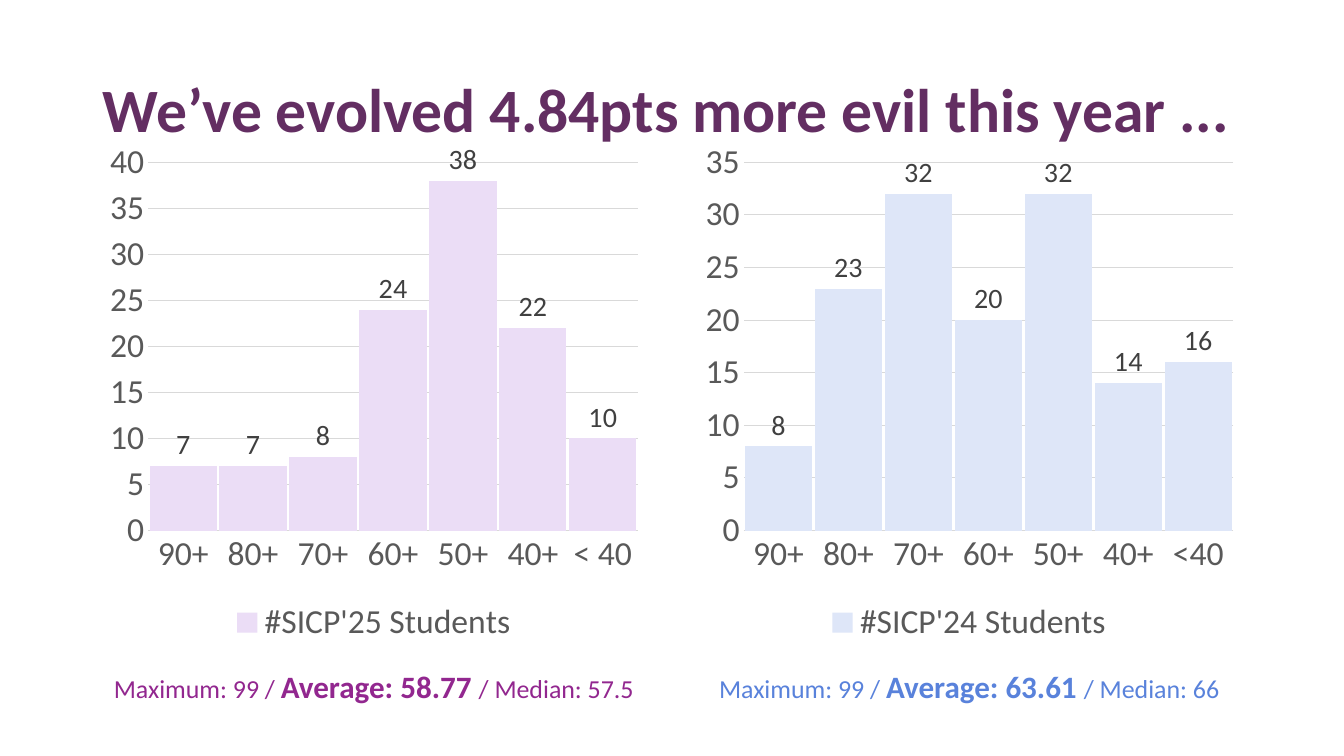
"""Build a slide comparing the score distributions of two student years."""
from pptx import Presentation
from pptx.chart.data import CategoryChartData
from pptx.dml.color import RGBColor
from pptx.enum.chart import XL_CHART_TYPE, XL_LABEL_POSITION, XL_LEGEND_POSITION, XL_TICK_MARK
from pptx.enum.text import MSO_ANCHOR, PP_ALIGN
from pptx.oxml import parse_xml
from pptx.oxml.ns import nsdecls
from pptx.util import Emu, Pt

COLUMNS = XL_CHART_TYPE.COLUMN_CLUSTERED
LABEL_ABOVE = XL_LABEL_POSITION.OUTSIDE_END
LEGEND_BELOW = XL_LEGEND_POSITION.BOTTOM
NO_TICK = XL_TICK_MARK.NONE
MIDDLE, TOP = MSO_ANCHOR.MIDDLE, MSO_ANCHOR.TOP
CENTER, LEFT = PP_ALIGN.CENTER, PP_ALIGN.LEFT

EMU_PER_PX = 9525
FONT = "Calibri"
TITLE_ONLY_LAYOUT = 5
CHART_HEIGHT, CAPTION_TOP, CAPTION_HEIGHT = 494, 506, 51
PLOT_FRACTIONS = {"x": 0.09, "y": 0.06, "w": 0.89, "h": 0.71}
COLORS = {
    "title": "632E62",
    "axis_text": "595959",
    "label_text": "404040",
    "grid": "D9D9D9",
    "bars_25": "EBDDF6",
    "caption_25": "92278F",
    "bars_24": "DEE6F8",
    "caption_24": "5982DB",
}
YEARS = [
    {
        "year": "25",
        "left": 94,
        "bands": ["90+", "80+", "70+", "60+", "50+", "40+", "< 40"],
        "counts": [7, 7, 8, 24, 38, 22, 10],
        "axis_maximum": 40,
        "average": "58.77",
        "median": "57.5",
    },
    {
        "year": "24",
        "left": 661,
        "bands": ["90+", "80+", "70+", "60+", "50+", "40+", "<40"],
        "counts": [8, 23, 32, 20, 32, 14, 16],
        "axis_maximum": 35,
        "average": "63.61",
        "median": "66",
    },
]


def px(*lengths):
    """Turn pixel lengths into EMU."""
    return [Emu(length * EMU_PER_PX) for length in lengths]


def color(name):
    """Look up a named colour."""
    return RGBColor.from_string(COLORS[name])


def style_font(font, size, color_name, bold=False):
    """Set the face, size, colour and weight of a font."""
    font.name = FONT
    font.size = Pt(size)
    font.bold = bold
    font.color.rgb = color(color_name)


def style_line(line, color_name):
    """Draw a thin line in a named colour."""
    line.width = Pt(0.75)
    line.color.rgb = color(color_name)


def add_title(slide, box, text):
    """Move and fill the title placeholder."""
    title = slide.shapes.title
    title.left, title.top, title.width, title.height = px(*box)
    title.text_frame.vertical_anchor = MIDDLE
    paragraph = title.text_frame.paragraphs[0]
    paragraph.alignment = LEFT
    paragraph.line_spacing = 0.9
    run = paragraph.add_run()
    run.text = text
    style_font(run.font, 44, "title", bold=True)


def place_plot(chart):
    """Fix the inner plot area as fractions of the chart."""
    plot_area = chart.element.xpath("c:chart/c:plotArea")[0]
    for layout in plot_area.xpath("c:layout"):
        plot_area.remove(layout)
    modes = "".join(f'<c:{key}Mode val="edge"/>' for key in "xy")
    values = "".join(f'<c:{key} val="{value}"/>' for key, value in PLOT_FRACTIONS.items())
    plot_area.insert(0, parse_xml(
        f'<c:layout {nsdecls("c")}><c:manualLayout><c:layoutTarget val="inner"/>'
        f"{modes}{values}</c:manualLayout></c:layout>"
    ))


def style_axes(chart, maximum):
    """Format both axes and the horizontal grid."""
    for axis in (chart.category_axis, chart.value_axis):
        axis.major_tick_mark = axis.minor_tick_mark = NO_TICK
        style_font(axis.tick_labels.font, 24, "axis_text")
    style_line(chart.category_axis.format.line, "grid")
    value_axis = chart.value_axis
    value_axis.format.line.fill.background()
    value_axis.minimum_scale = 0
    value_axis.maximum_scale = maximum
    value_axis.major_unit = 5
    value_axis.has_major_gridlines = True
    style_line(value_axis.major_gridlines.format.line, "grid")


def add_histogram(slide, box, year):
    """Add the column chart of one year."""
    data = CategoryChartData()
    data.categories = year["bands"]
    data.add_series(f"#SICP'{year['year']} Students", year["counts"])
    chart = slide.shapes.add_chart(COLUMNS, *px(*box), data).chart
    chart.has_title = False
    chart.font.name = FONT
    chart.has_legend = True
    chart.legend.position = LEGEND_BELOW
    chart.legend.include_in_layout = False
    style_font(chart.legend.font, 24, "axis_text")
    style_axes(chart, year["axis_maximum"])
    plot = chart.plots[0]
    plot.gap_width = 4
    plot.overlap = -27
    plot.vary_by_categories = False
    bars = plot.series[0]
    bars.format.fill.solid()
    bars.format.fill.fore_color.rgb = color(f"bars_{year['year']}")
    plot.has_data_labels = True
    plot.data_labels.show_value = True
    plot.data_labels.position = LABEL_ABOVE
    style_font(plot.data_labels.font, 20, "label_text")
    place_plot(chart)


def add_caption(slide, box, year):
    """Add the summary line with an emphasised average."""
    frame = slide.shapes.add_textbox(*px(*box)).text_frame
    frame.word_wrap = True
    frame.vertical_anchor = TOP
    paragraph = frame.paragraphs[0]
    paragraph.alignment = CENTER
    for text, size, bold in (
        ("Maximum: 99 / ", 18.5, False),
        (f"Average: {year['average']} ", 22.2, True),
        (f"/ Median: {year['median']}", 18.5, False),
    ):
        run = paragraph.add_run()
        run.text = text
        style_font(run.font, size, f"caption_{year['year']}", bold)


def add_year(slide, box, year):
    """Stack the chart and caption of one year in a box."""
    left, top, width = box
    add_histogram(slide, (left, top, width, CHART_HEIGHT), year)
    add_caption(slide, (left, top + CAPTION_TOP, width, CAPTION_HEIGHT), year)


def main():
    """Build and save the presentation."""
    presentation = Presentation()
    presentation.slide_width, presentation.slide_height = px(1280, 720)
    slide = presentation.slides.add_slide(presentation.slide_layouts[TITLE_ONLY_LAYOUT])
    add_title(slide, (88, 38, 1104, 139), "We’ve evolved 4.84pts more evil this year ...")
    for year in YEARS:
        add_year(slide, (year["left"], 125, 524), year)
    presentation.save("out.pptx")


if __name__ == "__main__":
    main()
